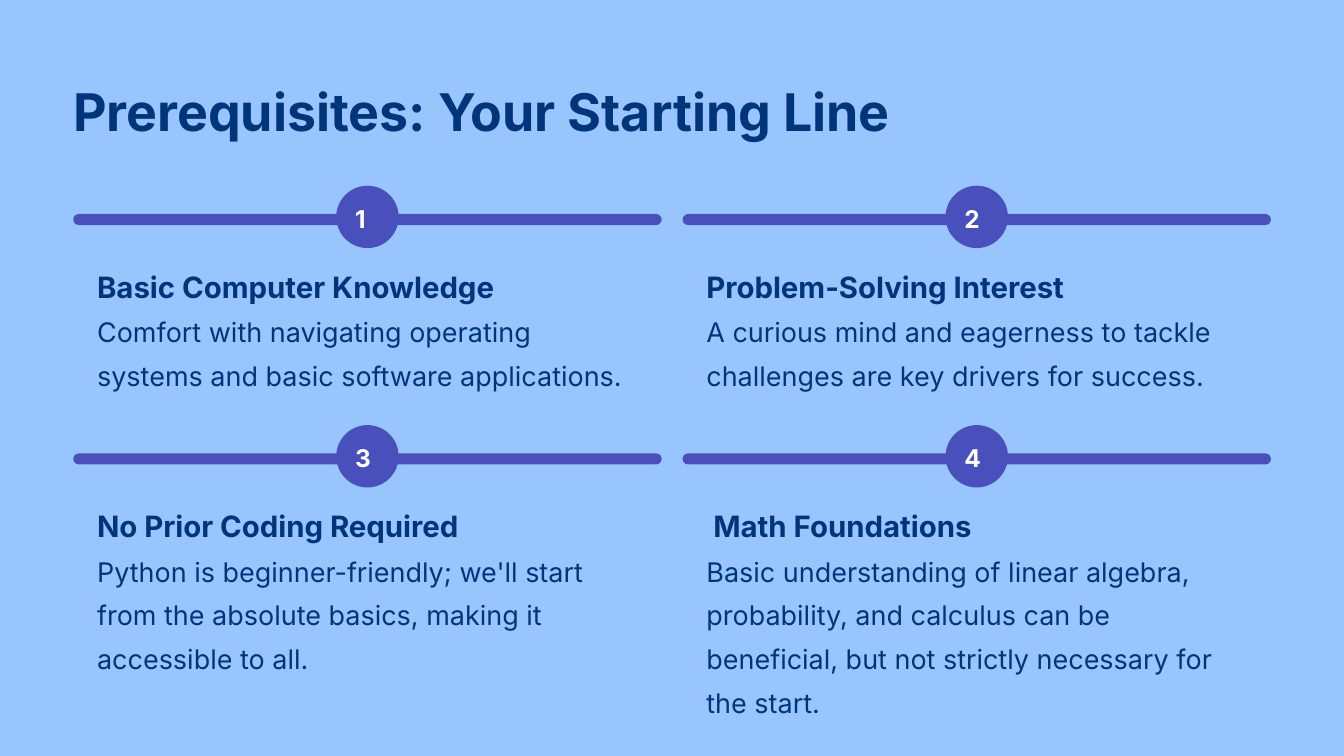
import pptx
import pptx.util
import pptx.dml.color
import pptx.enum.shapes
from pptx.util import Cm

TITLE = "Prerequisites: Your Starting Line"
PREREQUISITES = [
    ("Basic Computer Knowledge",
     "Comfort with navigating operating systems and basic software applications."),
    ("Problem-Solving Interest",
     "A curious mind and eagerness to tackle challenges are key drivers for success."),
    ("No Prior Coding Required",
     "Python is beginner-friendly; we'll start from the absolute basics, making it accessible to all."),
    (" Math Foundations",
     "Basic understanding of linear algebra, probability, and calculus can be beneficial, "
     "but not strictly necessary for the start."),
]

THEME = {
    "font": "Inter",
    "background": "99C5FF",
    "accent": "4950BC",
    "title": {"size": 55.6, "leading": 69.4, "color": "00357A", "bold": True},
    "number": {"size": 26.2, "leading": 42.5, "color": "FFFFFF", "bold": True},
    "heading": {"size": 31.5, "leading": 39.4, "color": "00357A", "bold": True},
    "body": {"size": 28.9, "leading": 47, "color": "00357A", "bold": False},
}

COLUMNS = 2
GRID_LEFT, GRID_TOP = 2.77, 8.3
COLUMN_PITCH, ROW_PITCH = 23.03, 9.05
BAR_WIDTH, BAR_HEIGHT = 22.24, 0.42
BADGE = 2.36
TEXT_INSET = 0.9
BODY_HEIGHTS = [3.23, 4.85]

SHAPES = pptx.enum.shapes.MSO_SHAPE


def rgb(value):
    return pptx.dml.color.RGBColor.from_string(value)


def add_text(page, text, style, left, top, width, height):
    box = page.shapes.add_textbox(Cm(left), Cm(top), Cm(width), Cm(height))
    frame = box.text_frame
    frame.word_wrap = True
    frame.margin_left = frame.margin_right = 0
    frame.margin_top = frame.margin_bottom = 0
    para = frame.paragraphs[0]
    para.text = text
    look = THEME[style]
    para.line_spacing = pptx.util.Pt(look["leading"])
    para.font.name = THEME["font"]
    para.font.size = pptx.util.Pt(look["size"])
    para.font.bold = look["bold"]
    para.font.color.rgb = rgb(look["color"])


def add_accent(page, kind, left, center, width, height):
    shape = page.shapes.add_shape(
        kind, Cm(left), Cm(center - height / 2), Cm(width), Cm(height))
    shape.shadow.inherit = False
    shape.fill.solid()
    shape.fill.fore_color.rgb = rgb(THEME["accent"])
    shape.line.fill.background()
    return shape


def add_prerequisite(page, index, heading, body):
    row, column = divmod(index, COLUMNS)
    left = GRID_LEFT + column * COLUMN_PITCH
    center = GRID_TOP + row * ROW_PITCH
    badge_left = left + (BAR_WIDTH - BADGE) / 2
    text_left = left + TEXT_INSET

    bar = add_accent(page, SHAPES.ROUNDED_RECTANGLE, left, center, BAR_WIDTH, BAR_HEIGHT)
    bar.adjustments[0] = 0.5
    add_accent(page, SHAPES.OVAL, badge_left, center - 0.1, BADGE, BADGE)
    add_text(page, str(index + 1), "number", badge_left + 0.71, center - 0.98, 0.94, 1.47)
    add_text(page, heading, "heading", text_left, center + 1.82, 16.3, 1.37)
    add_text(page, body, "body", text_left, center + 3.2, 20.47, BODY_HEIGHTS[row])


def main():
    deck = pptx.Presentation()
    deck.slide_width, deck.slide_height = Cm(50.8), Cm(28.58)
    page = deck.slides.add_slide(deck.slide_layouts[6])
    page.background.fill.solid()
    page.background.fill.fore_color.rgb = rgb(THEME["background"])

    add_text(page, TITLE, "title", GRID_LEFT, 2.9, 31.04, 2.54)
    for index, (heading, body) in enumerate(PREREQUISITES):
        add_prerequisite(page, index, heading, body)
    deck.save("out.pptx")


if __name__ == "__main__":
    main()
